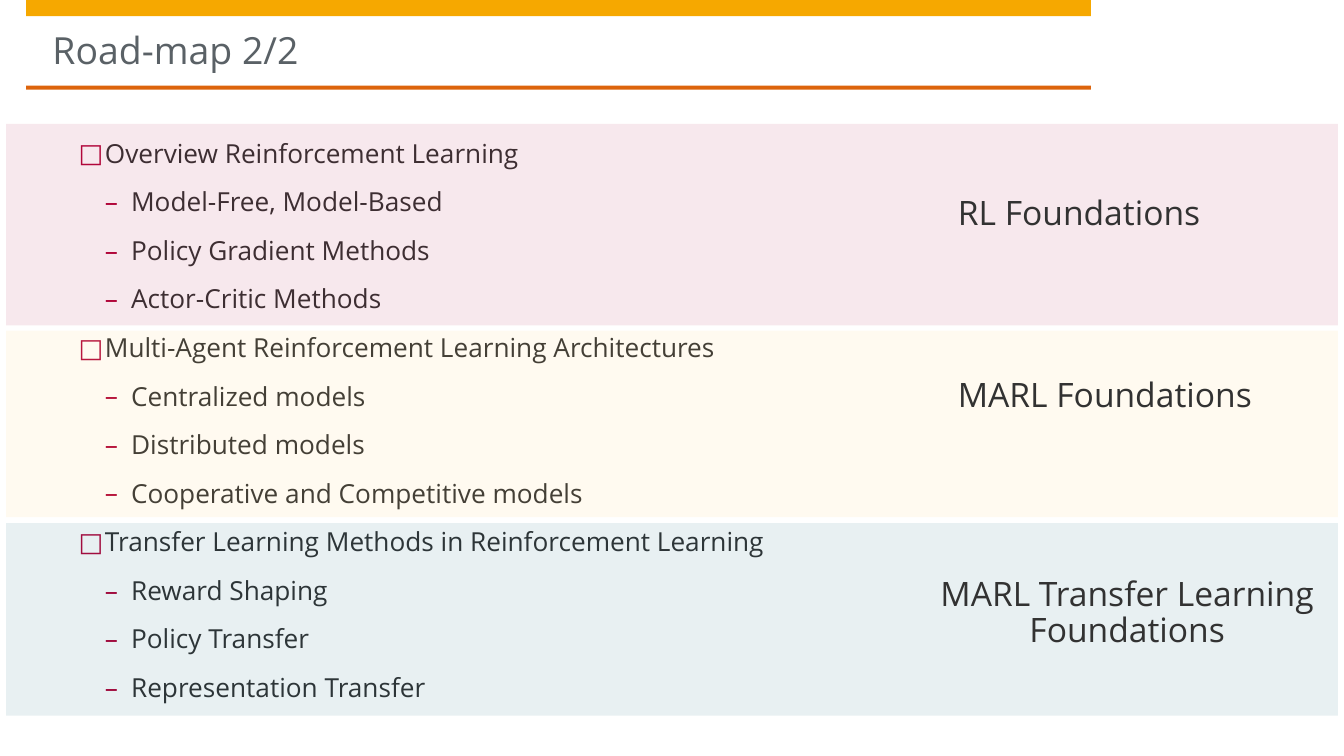
from pptx import Presentation
from pptx.dml.color import RGBColor
from pptx.enum.shapes import MSO_SHAPE
from pptx.enum.text import PP_ALIGN
from pptx.oxml.ns import qn
from pptx.util import Inches, Pt
from lxml.etree import SubElement

# Content: each topic with its points
TITLE = "Road-map 2/2"
TOPICS = [
    ("Overview Reinforcement Learning",
     ["Model-Free, Model-Based", "Policy Gradient Methods", "Actor-Critic Methods"]),
    ("Multi-Agent Reinforcement Learning Architectures",
     ["Centralized models", "Distributed models", "Cooperative and Competitive models"]),
    ("Transfer Learning Methods in Reinforcement Learning",
     ["Reward Shaping", "Policy Transfer", "Representation Transfer"]),
]
# Bands: colour, top, height
BANDS = [("crimson", 1.23, 2), ("yellow", 3.28, 1.85), ("teal", 5.19, 1.91)]
# Band labels: text, box, alignment
LABELS = [
    ("RL Foundations", (9.5, 1.95, 3.15, 0.55), PP_ALIGN.LEFT),
    ("MARL Foundations", (9.5, 3.75, 3.15, 0.55), PP_ALIGN.LEFT),
    ("MARL Transfer Learning Foundations", (9.18, 5.73, 4, 0.92), PP_ALIGN.CENTER),
]
COLORS = {"amber": "F6A800", "orange": "DD640C", "crimson": "B1063A",
          "yellow": "FFCD61", "teal": "005B76", "text": "323232", "title": "5A6166"}
FONT = "Open Sans"
BULLETS = ["□", "–"]
INDENT = 0.26

prs = Presentation()
prs.slide_width, prs.slide_height = Inches(13.33), Inches(7.5)
s = prs.slides.add_slide(prs.slide_layouts[6])


def add_rect(color, box, opacity=None):
    sp = s.shapes.add_shape(MSO_SHAPE.RECTANGLE, *map(Inches, box))
    sp.shadow.inherit = False
    sp.line.fill.background()
    sp.fill.solid()
    sp.fill.fore_color.rgb = RGBColor.from_string(COLORS[color])
    if opacity is not None:
        clr = sp.fill._xPr.find(qn("a:solidFill"))[0]
        SubElement(clr, qn("a:alpha"), val=str(opacity * 1000))


def add_bullet(p, level):
    pPr = p._p.get_or_add_pPr()
    pPr.set("marL", str(Inches(INDENT * (level + 2))))
    pPr.set("indent", str(-Inches(INDENT)))
    clr = SubElement(pPr, qn("a:buClr"))
    SubElement(clr, qn("a:srgbClr"), val=COLORS["crimson"])
    SubElement(pPr, qn("a:buFont"), typeface=FONT)
    SubElement(pPr, qn("a:buChar"), char=BULLETS[level])


def add_text(lines, box, size, color="text", spacing=0.9, gap=0, top=0,
             align=PP_ALIGN.LEFT, bullets=False):
    """Write (text, level) lines into one text box."""
    tf = s.shapes.add_textbox(*map(Inches, box)).text_frame
    tf.word_wrap = True
    tf.margin_left = tf.margin_right = tf.margin_bottom = 0
    tf.margin_top = Inches(top)
    for i, (text, level) in enumerate(lines):
        p = tf.add_paragraph() if i else tf.paragraphs[0]
        p.level, p.alignment, p.line_spacing = level, align, spacing
        p.space_before = p.space_after = Pt(gap)
        if bullets:
            add_bullet(p, level)
        r = p.add_run()
        r.text = text
        r.font.name, r.font.size = FONT, Pt(size)
        r.font.color.rgb = RGBColor.from_string(COLORS[color])


# Header
add_rect("amber", (0.26, 0, 10.56, 0.16))
add_rect("orange", (0.26, 0.85, 10.56, 0.04))

# Topic list
lines = []
for topic, points in TOPICS:
    lines += [(topic, 0)] + [(point, 1) for point in points]
add_text(lines, (0.52, 1.3, 12.55, 5.74), 18.7, spacing=Pt(26.7), gap=4, bullets=True)
add_text([(TITLE, 0)], (0.52, 0.16, 10.03, 0.61), 26.7, color="title", top=0.16)

# Translucent bands over the list, then their labels
for color, top, height in BANDS:
    add_rect(color, (0.06, top, 13.21, height), opacity=9)
for text, box, align in LABELS:
    add_text([(text, 0)], box, 24, gap=3, align=align)

prs.save("out.pptx")
